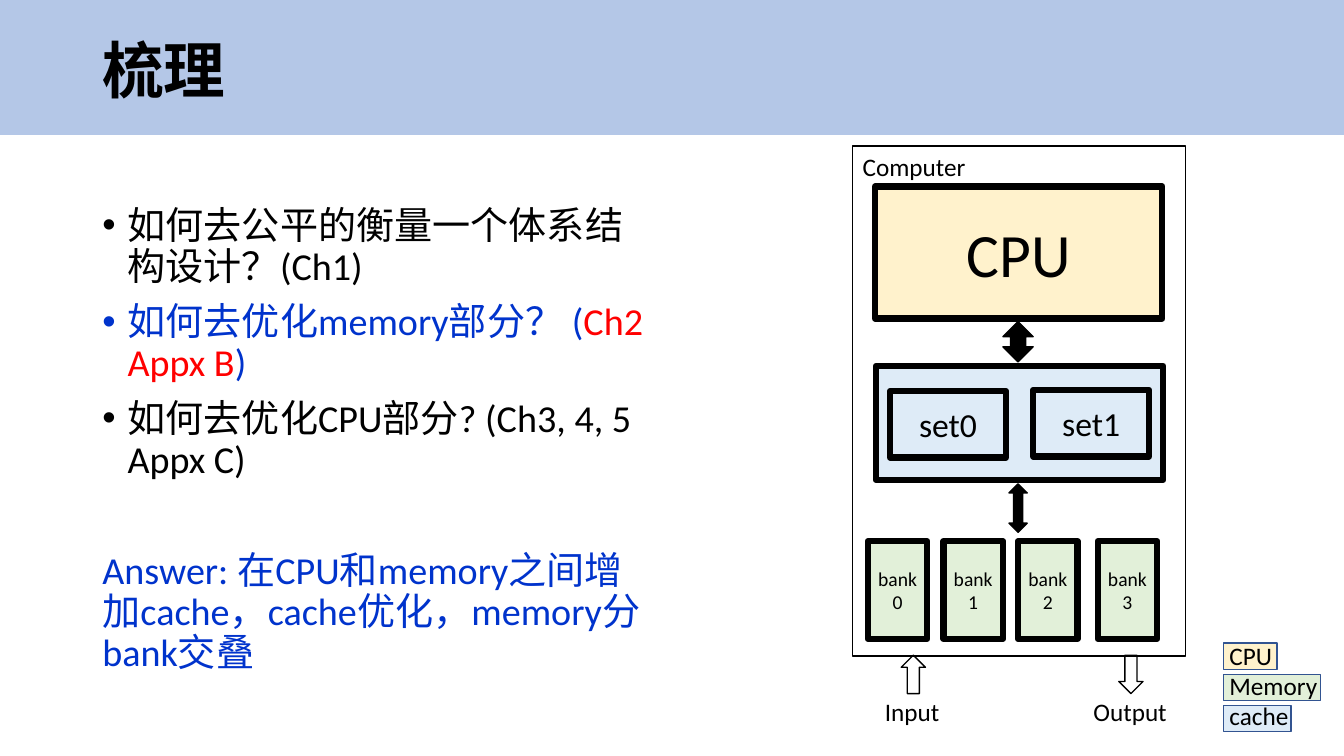
import pptx
import pptx.dml.color
import pptx.enum.shapes
import pptx.enum.text
import pptx.oxml
import pptx.oxml.ns
import pptx.util
from dataclasses import dataclass

Pt = pptx.util.Pt
SHAPE = pptx.enum.shapes.MSO_SHAPE
ANCHOR = pptx.enum.text.MSO_ANCHOR
ALIGN = pptx.enum.text.PP_ALIGN

FONT = "Calibri"
BLACK, BLUE, RED = "000000", "0033CC", "FF0000"
BAND, CPU, MEMORY, CACHE = "B4C7E7", "FFF2CC", "E2F0D9", "DEEBF7"
SWATCH_LINE = "325491"


@dataclass
class Box:
    left: float
    top: float
    width: float
    height: float
    fill: str | None = None
    line: str = BLACK
    weight: float = 1
    text: str = ""
    size: float = 18
    preset: SHAPE = SHAPE.RECTANGLE
    rotation: float = 0
    head: float | None = None
    align: ALIGN = ALIGN.CENTER
    anchor: ANCHOR = ANCHOR.MIDDLE
    side_inset: float = 7.2


@dataclass
class Point:
    runs: list[tuple[str, str]]
    bullet: bool = True
    before: float = 10


def rgb(value: str):
    return pptx.dml.color.RGBColor.from_string(value)


def add_run(p, text: str, size: float, color: str = BLACK, bold: bool = False) -> None:
    r = p.add_run()
    r.text = text
    r.font.name = FONT
    r.font.size = Pt(size)
    r.font.bold = bold
    r.font.color.rgb = rgb(color)


def add_box(s, box: Box) -> None:
    sp = s.shapes.add_shape(box.preset, Pt(box.left), Pt(box.top),
                            Pt(box.width), Pt(box.height))
    sp.shadow.inherit = False
    sp.rotation = box.rotation
    if box.head is not None:
        sp.adjustments[0] = box.head
        sp.adjustments[1] = 0.5
    if box.fill:
        sp.fill.solid()
        sp.fill.fore_color.rgb = rgb(box.fill)
    else:
        sp.fill.background()
    sp.line.color.rgb = rgb(box.line)
    sp.line.width = Pt(box.weight)
    if box.text:
        tf = sp.text_frame
        tf.word_wrap = True
        tf.vertical_anchor = box.anchor
        tf.margin_left = tf.margin_right = Pt(box.side_inset)
        p = tf.paragraphs[0]
        p.alignment = box.align
        add_run(p, box.text, box.size)


def add_text_frame(s, left: float, top: float, width: float, height: float,
                   wrap: bool = True):
    tf = s.shapes.add_textbox(Pt(left), Pt(top), Pt(width), Pt(height)).text_frame
    tf.word_wrap = wrap
    return tf


def add_bullet(p) -> None:
    pPr = p._p.get_or_add_pPr()
    pPr.set("marL", str(Pt(18)))
    pPr.set("indent", str(-Pt(18)))
    ns = pptx.oxml.ns.nsdecls("a")
    pPr.append(pptx.oxml.parse_xml(f'<a:buFont {ns} typeface="Arial"/>'))
    pPr.append(pptx.oxml.parse_xml(f'<a:buChar {ns} char="•"/>'))


def add_points(s, points: list[Point]) -> None:
    tf = add_text_frame(s, 66, 144, 408, 343)
    for i, point in enumerate(points):
        p = tf.add_paragraph() if i else tf.paragraphs[0]
        if point.bullet:
            add_bullet(p)
        p.line_spacing = 0.9
        p.space_before = Pt(point.before if i else 0)
        for text, color in point.runs:
            add_run(p, text, 27.2, color)


def main() -> None:
    prs = pptx.Presentation()
    prs.slide_width, prs.slide_height = Pt(960), Pt(540)
    s = prs.slides.add_slide(prs.slide_layouts[6])

    # Title band
    add_box(s, Box(0, 0.7, 960, 95, BAND, BAND))
    tf = add_text_frame(s, 66, 23, 828, 59)
    tf.vertical_anchor = ANCHOR.MIDDLE
    tf.paragraphs[0].line_spacing = 0.9
    add_run(tf.paragraphs[0], "梳理", 44, bold=True)

    # Questions and answer
    add_points(s, [
        Point([("如何去公平的衡量一个体系结构设计？(Ch1)", BLACK)]),
        Point([("如何去优化memory部分？ (", BLUE), ("Ch2 Appx B", RED), (")", BLUE)]),
        Point([("如何去优化CPU部分? (Ch3, 4, 5 Appx C)", BLACK)]),
        Point([("Answer: 在CPU和memory之间增加cache，cache优化，memory分bank交叠", BLUE)],
              bullet=False, before=50),
    ])

    # Computer: CPU, cache sets and memory banks
    thick = 4.5
    boxes = [
        Box(609.1, 104.4, 237.6, 364.3, text="Computer",
            align=ALIGN.LEFT, anchor=ANCHOR.TOP),
        Box(625, 133.2, 205.2, 94.3, CPU, weight=thick, text="CPU", size=44),
        Box(625.7, 261.4, 205.2, 81.4, CACHE, weight=thick),
    ]
    for i, (left, top) in enumerate([(635.8, 279.4), (738, 278.6)]):
        boxes.append(Box(left, top, 82.8, 47.5, CACHE, weight=thick,
                         text=f"set{i}", size=24))
    for i, left in enumerate([619.9, 673.9, 727.2, 784.1]):
        boxes.append(Box(left, 386.6, 42.5, 69.8, MEMORY, weight=thick,
                         text=f"bank{i}", size=14, side_inset=6.5))

    # Block arrows
    boxes += [
        Box(716.4, 229.7, 21.6, 28.8, BLACK, preset=SHAPE.UP_DOWN_ARROW, head=0.345),
        Box(720.7, 345.6, 13, 34.6, BLACK, preset=SHAPE.UP_DOWN_ARROW, head=0.345),
        Box(643.7, 468, 17.3, 27.4, preset=SHAPE.DOWN_ARROW, rotation=180),
        Box(799.2, 468, 17.3, 27.4, preset=SHAPE.DOWN_ARROW),
    ]

    # Legend swatches
    legend = [("CPU", CPU, 38.2), ("Memory", MEMORY, 69.1), ("cache", CACHE, 48.2)]
    for i, (_, fill, width) in enumerate(legend):
        boxes.append(Box(874.1, 459.4 + 22.3 * i, width, 18.7, fill, SWATCH_LINE))
    for box in boxes:
        add_box(s, box)

    # Legend labels
    tf = add_text_frame(s, 866.9, 453.6, 83.5, 72.7)
    tf.margin_left = Pt(11.3)
    for i, (label, _, _) in enumerate(legend):
        p = tf.add_paragraph() if i else tf.paragraphs[0]
        add_run(p, label, 18)

    # Input and output labels
    for label, left, width in [("Input", 625, 54), ("Output", 774, 67.7)]:
        tf = add_text_frame(s, left, 493.9, width, 28.8, wrap=False)
        add_run(tf.paragraphs[0], label, 18)

    prs.save("out.pptx")


if __name__ == "__main__":
    main()
